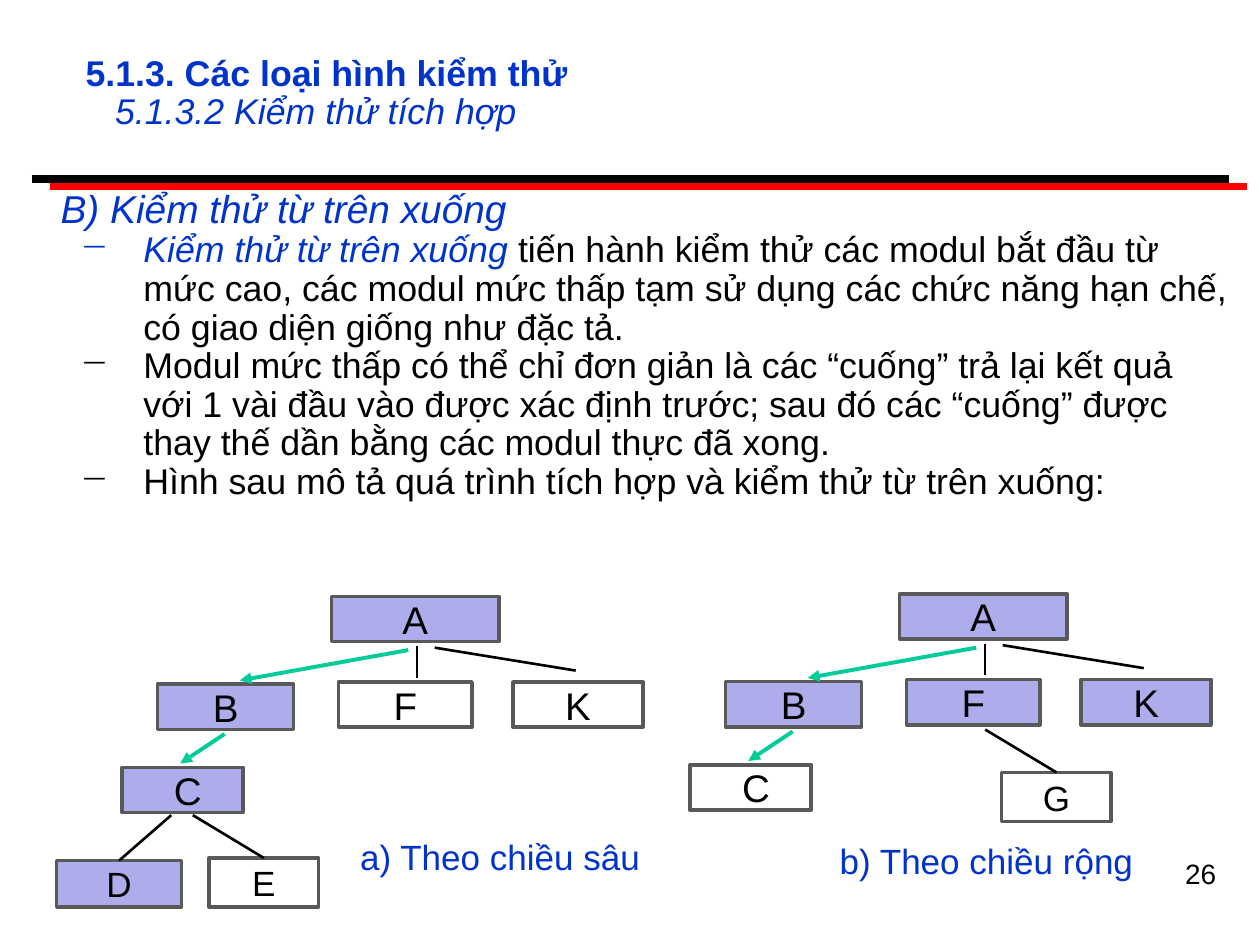
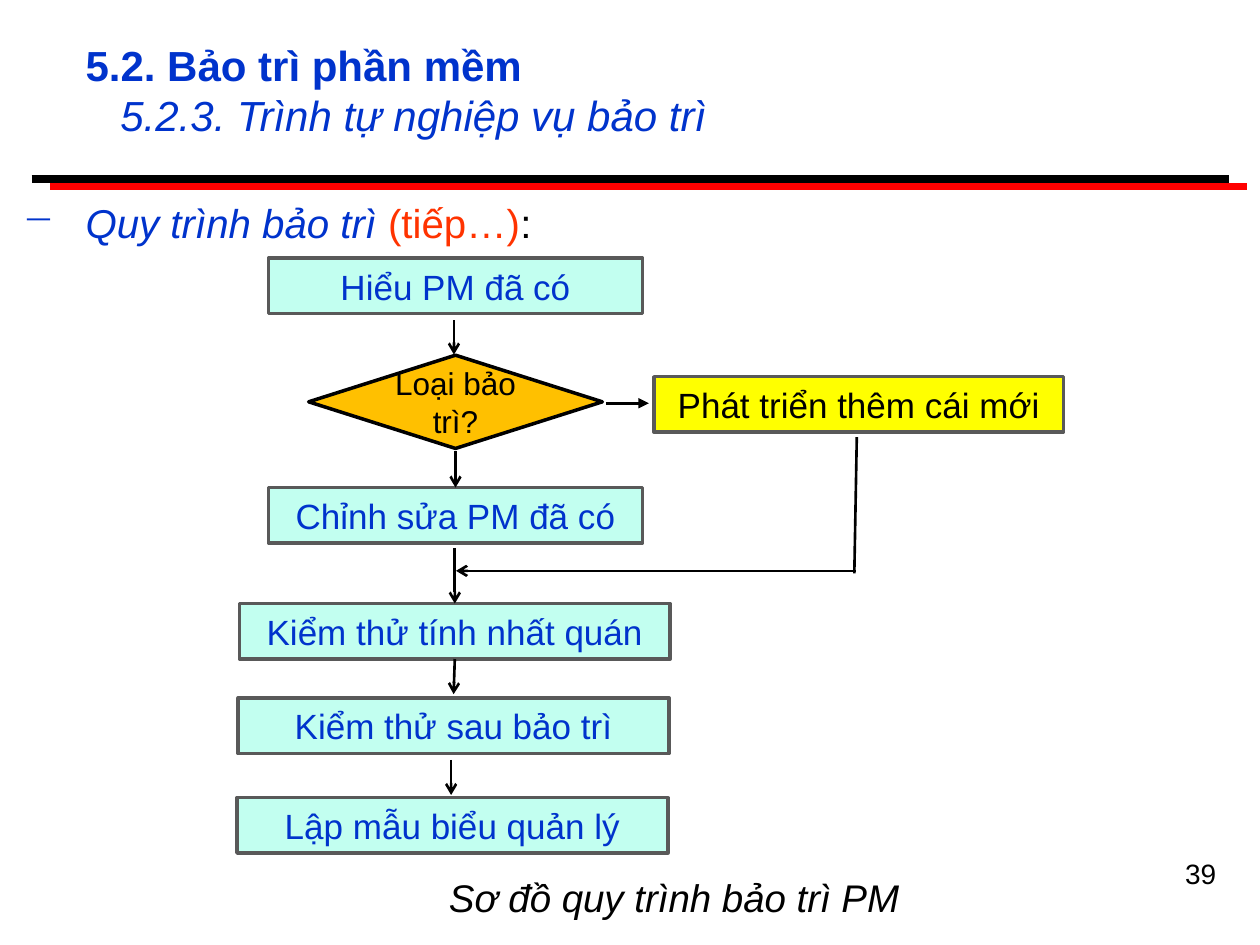
from dataclasses import dataclass

import lxml.etree
import pptx
import pptx.dml.color
import pptx.enum.shapes
import pptx.enum.text
import pptx.oxml.ns
import pptx.slide
import pptx.util

Pt = pptx.util.Pt
qn = pptx.oxml.ns.qn
KIND = pptx.enum.shapes.MSO_SHAPE
ALIGN = pptx.enum.text.PP_ALIGN
ANCHOR = pptx.enum.text.MSO_ANCHOR

FONT = "Arial"
HUES = {
    "black": "000000", "red": "FF0000", "blue": "0033CC", "orange": "FF3300",
    "lilac": "ADADEB", "gray": "595959", "green": "00CC99", "mint": "C2FFF0",
    "yellow": "FFFF00", "amber": "FFC000",
}


@dataclass
class Run:
    text: str
    hue: str = "black"
    slant: bool = False


@dataclass
class Para:
    runs: list[Run]
    size: float
    bold: bool = False
    align: str = "LEFT"
    margin: float = 0
    hang: float = 0
    bullet: str = ""  # colour of the dash
    level: int = 0
    space: float = 1.0


@dataclass
class Node:
    text: str
    left: float
    top: float
    width: float
    height: float
    size: float = 20
    fill: str = ""
    ink: str = "black"
    edge: str = "gray"
    kind: int = KIND.RECTANGLE
    margin: float = 0


@dataclass
class Link:
    x1: float
    y1: float
    x2: float
    y2: float
    hue: str = "black"
    width: float = 1.5
    tip: str = ""
    start: str = ""  # node whose bottom the line leaves
    end: str = ""  # node whose top the line meets


def rgb(hue: str) -> pptx.dml.color.RGBColor:
    return pptx.dml.color.RGBColor.from_string(HUES[hue])


# Text
def style(font, run: Run) -> None:
    font.color.rgb = rgb(run.hue)
    font.italic = run.slant


def write(frame, paras: list[Para], middle: bool = False) -> None:
    frame.word_wrap = True
    frame.vertical_anchor = ANCHOR.MIDDLE if middle else ANCHOR.TOP
    for i, para in enumerate(paras):
        p = frame.add_paragraph() if i else frame.paragraphs[0]
        p.alignment = getattr(ALIGN, para.align)
        p.level = para.level
        p.line_spacing = para.space
        props = p._p.get_or_add_pPr()
        props.set("marL", str(Pt(para.margin)))
        props.set("indent", str(Pt(-para.hang)))
        if para.bullet:
            tint = lxml.etree.SubElement(props, qn("a:buClr"))
            lxml.etree.SubElement(tint, qn("a:srgbClr"), val=HUES[para.bullet])
            lxml.etree.SubElement(props, qn("a:buChar"), char="─")
        p.font.name, p.font.size, p.font.bold = FONT, Pt(para.size), para.bold
        alike = len(para.runs) == 1
        if alike:
            style(p.font, para.runs[0])
        for run in para.runs:
            r = p.add_run()
            r.text = run.text
            if not alike:
                style(r.font, run)


def label(slide: pptx.slide.Slide, left: float, top: float, width: float,
          height: float, paras: list[Para], middle: bool = False) -> None:
    box = slide.shapes.add_textbox(Pt(left), Pt(top), Pt(width), Pt(height))
    write(box.text_frame, paras, middle)


# Shapes and lines
def block(slide: pptx.slide.Slide, node: Node, dx: float = 0, dy: float = 0):
    shape = slide.shapes.add_shape(node.kind, Pt(node.left + dx), Pt(node.top + dy),
                                   Pt(node.width), Pt(node.height))
    shape.shadow.inherit = False
    if node.fill:
        shape.fill.solid()
        shape.fill.fore_color.rgb = rgb(node.fill)
    else:
        shape.fill.background()
    shape.line.color.rgb = rgb(node.edge)
    shape.line.width = Pt(2)
    write(shape.text_frame, [Para([Run(node.text, node.ink)], node.size,
                                  align="CENTER", margin=node.margin)], True)
    return shape


def draw(slide: pptx.slide.Slide, link: Link, shapes: dict,
         dx: float = 0, dy: float = 0) -> None:
    line = slide.shapes.add_connector(
        pptx.enum.shapes.MSO_CONNECTOR.STRAIGHT, Pt(link.x1 + dx), Pt(link.y1 + dy),
        Pt(link.x2 + dx), Pt(link.y2 + dy))
    if link.start:
        line.begin_connect(shapes[link.start], 2)
    if link.end:
        line.end_connect(shapes[link.end], 0)
    line.line.color.rgb = rgb(link.hue)
    line.line.width = Pt(link.width)
    if link.tip:
        lxml.etree.SubElement(line.line._get_or_add_ln(), qn("a:tailEnd"), type=link.tip)
    lxml.etree.SubElement(line._element.spPr, qn("a:effectLst"))


def graph(slide: pptx.slide.Slide, nodes: list[Node], links: list[Link],
          dx: float = 0, dy: float = 0) -> None:
    shapes = {node.text: block(slide, node, dx, dy) for node in nodes}
    for link in links:
        draw(slide, link, shapes, dx, dy)


# Shared frame: double rule, title, page number
RULES = [Link(18, 102.2, 702, 102.2, width=4.5),
         Link(28.8, 106.6, 712.8, 106.6, "red", 4.5)]


def page(deck, head: str, sub: str, size: float, top: float, height: float,
         space: float, number: str, width: float) -> pptx.slide.Slide:
    slide = deck.slides.add_slide(deck.slide_layouts[6])
    for rule in RULES:
        draw(slide, rule, {})
    label(slide, 41.8, top, 653.8, height, [
        Para([Run(head, "blue")], size, bold=True, space=space),
        Para([Run(sub, "blue", True)], size, margin=round(size * 0.83, 1), space=space),
    ], True)
    label(slide, 702 - width, 486, width, 37.4, [Para([Run(number)], 16, align="RIGHT")])
    return slide


# Slide 1: integration trees
SHIFT = (324.6, -1.4)  # from the left tree to the right one
TREE = [
    Node("A", 189.4, 340.8, 95.8, 25.9, 22),
    Node("B", 90, 391, 77.8, 25.9, 22),
    Node("F", 193.5, 389.7, 76.3, 25.9, 22),
    Node("K", 293.2, 389.7, 74.2, 25.9, 22),
    Node("C", 69.8, 438.5, 69.1, 25.9, 22, margin=6),
]
LIMBS = [
    Link(233.3, 371.5, 137, 388.8, "green", 2.25, "triangle"),
    Link(238.3, 369.4, 238.3, 387.4),
    Link(248.4, 370.1, 329, 383.2),
    Link(128.4, 419.4, 103, 436.3, "green", 2.25, "triangle"),
]
DEEP = [Node("D", 32.4, 491.8, 71.3, 26.6), Node("E", 119.5, 490.3, 62.6, 28.1)]
DEEPER = [Link(97.9, 465.8, 68.4, 490.3, end="D"), Link(110.2, 465.8, 151.2, 490.3, end="E")]
WIDE = [Node("G", 247.8, 442.8, 62.6, 28.1)]
WIDER = [Link(238.4, 418.3, 279.5, 442.8, end="G")]


def tree(slide: pptx.slide.Slide, done: str, extra: list[Node],
         more: list[Link], dx: float = 0, dy: float = 0) -> None:
    nodes = TREE + extra
    for node in nodes:
        node.fill = "lilac" if node.text in done else ""
    graph(slide, nodes, LIMBS + more, dx, dy)


def tests(deck) -> None:
    slide = page(deck, "5.1.3. Các loại hình kiểm thử", "5.1.3.2 Kiểm thử tích hợp",
                 20.4, 23.8, 59.8, 0.9, "26", 36)
    points = [
        [Run("Kiểm thử từ trên xuống", "blue", True),
         Run(" tiến hành kiểm thử các modul bắt đầu từ mức cao, các modul mức thấp "
             "tạm sử dụng các chức năng hạn chế, có giao diện giống như đặc tả.")],
        [Run("Modul mức thấp có thể chỉ đơn giản là các “cuống” trả lại kết quả với "
             "1 vài đầu vào được xác định trước; sau đó các “cuống” được thay thế dần "
             "bằng các modul thực đã xong.")],
        [Run("Hình sau mô tả quá trình tích hợp và kiểm thử từ trên xuống:")],
    ]
    label(slide, 2.9, 105.1, 707.8, 213.1, [
        Para([Run("B) Kiểm thử từ trên xuống", "blue", True)], 22.2, margin=24.7, space=0.9),
        *(Para(runs, 20.4, margin=72, hang=36, bullet=runs[0].hue, level=1, space=0.9)
          for runs in points),
    ])
    tree(slide, "ABCD", DEEP, DEEPER)
    tree(slide, "ABFK", WIDE, WIDER, *SHIFT)
    for text, left, top, width in [("a) Theo chiều sâu", 195.8, 473.8, 180),
                                   ("b) Theo chiều rộng", 458.6, 475.9, 210.2)]:
        label(slide, left, top, width, 31.7, [Para([Run(text, "blue")], 20, align="CENTER")])


# Slide 2: maintenance flow
def flow(deck) -> None:
    slide = page(deck, "5.2. Bảo trì phần mềm", "5.2.3. Trình tự nghiệp vụ bảo trì",
                 24, 18, 66.2, 1.0, "39", 167.8)
    label(slide, 5.8, 109.5, 695.5, 43.2, [
        Para([Run("Quy trình bảo trì ", "blue", True), Run("(tiếp…)", "orange"), Run(":")],
             23, margin=36, hang=36, bullet="blue")])
    steps = [
        ("Hiểu PM đã có", 153.4, 147.6, 213.8),
        ("Chỉnh sửa PM đã có", 153.4, 278.6, 213.8),
        ("Kiểm thử tính nhất quán", 136.8, 344.9, 246.2),
        ("Kiểm thử sau bảo trì", 136.1, 398.9, 246.2),
        ("Lập mẫu biểu quản lý", 135.4, 455.8, 246.2),
    ]
    nodes = [Node(text, left, top, width, 31.7, fill="mint", ink="blue")
             for text, left, top, width in steps]
    nodes += [
        Node("Phát triển thêm cái mới", 373.7, 215.3, 234, 31.7, fill="yellow"),
        Node("Loại bảo trì?", 176.4, 203, 167.8, 53.3, 18, "amber", edge="black",
             kind=KIND.DIAMOND),
    ]
    links = [
        Link(259.4, 182.9, 259.4, 202.6, tip="arrow"),
        Link(260.3, 257.8, 260.3, 278.6, tip="arrow", end="Chỉnh sửa PM đã có"),
        Link(259.9, 313.2, 259.9, 344.9, tip="arrow", end="Kiểm thử tính nhất quán"),
        Link(259.9, 376.6, 259.2, 396.7, tip="arrow", start="Kiểm thử tính nhất quán"),
        Link(257.8, 434.2, 257.8, 454.3, tip="arrow"),
        Link(346.3, 230.4, 370.8, 230.4, tip="triangle"),
        Link(489.6, 249.8, 488.2, 327.6),
        Link(488.9, 326.2, 260.6, 326.2, tip="arrow"),
    ]
    graph(slide, nodes, links)
    label(slide, 238.3, 496.1, 293.8, 33.8, [
        Para([Run("Sơ đồ quy trình bảo trì PM", slant=True)], 22, align="CENTER")])


def main() -> None:
    deck = pptx.Presentation()
    deck.slide_width, deck.slide_height = Pt(720), Pt(540)
    tests(deck)
    flow(deck)
    deck.save("out.pptx")


if __name__ == "__main__":
    main()
